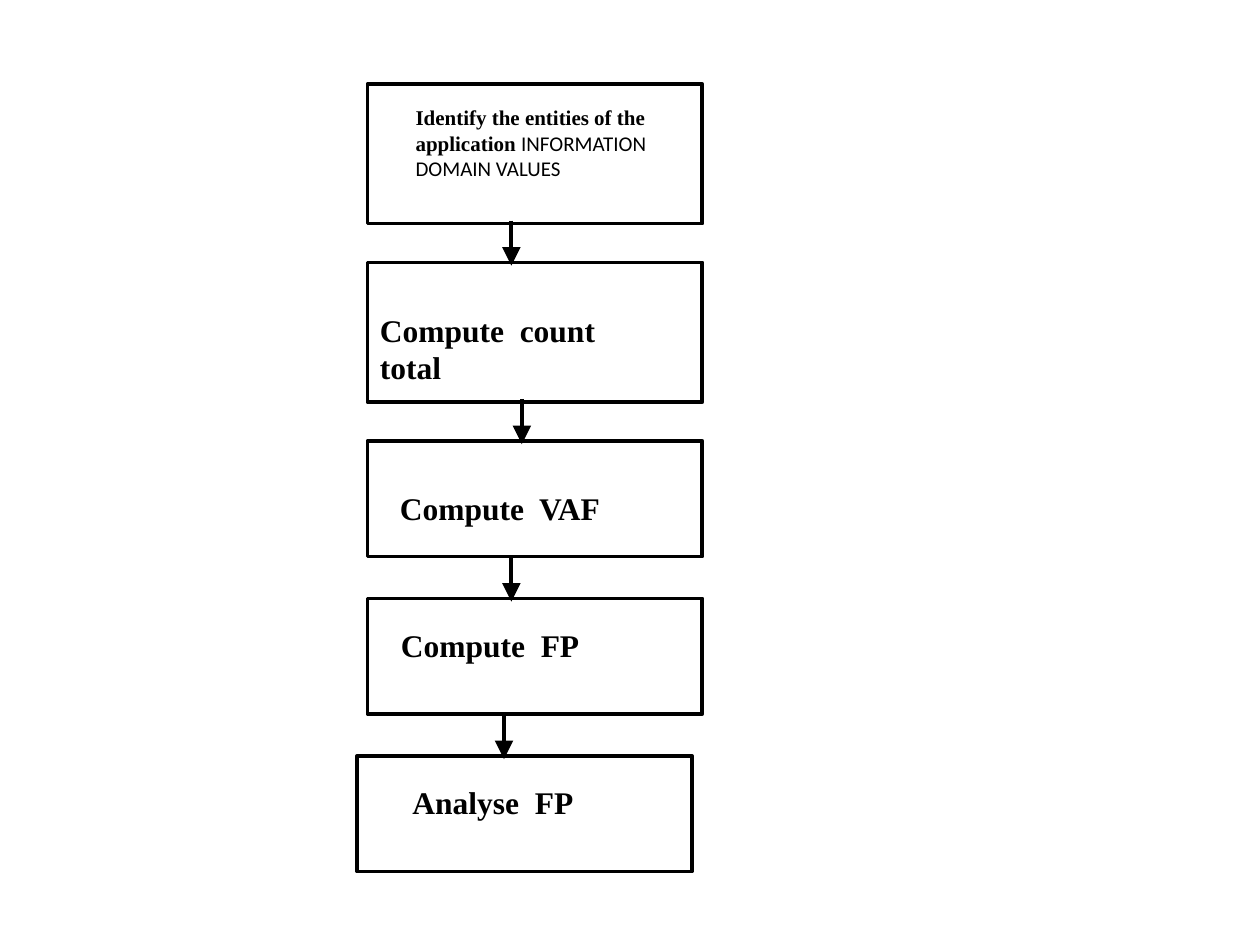
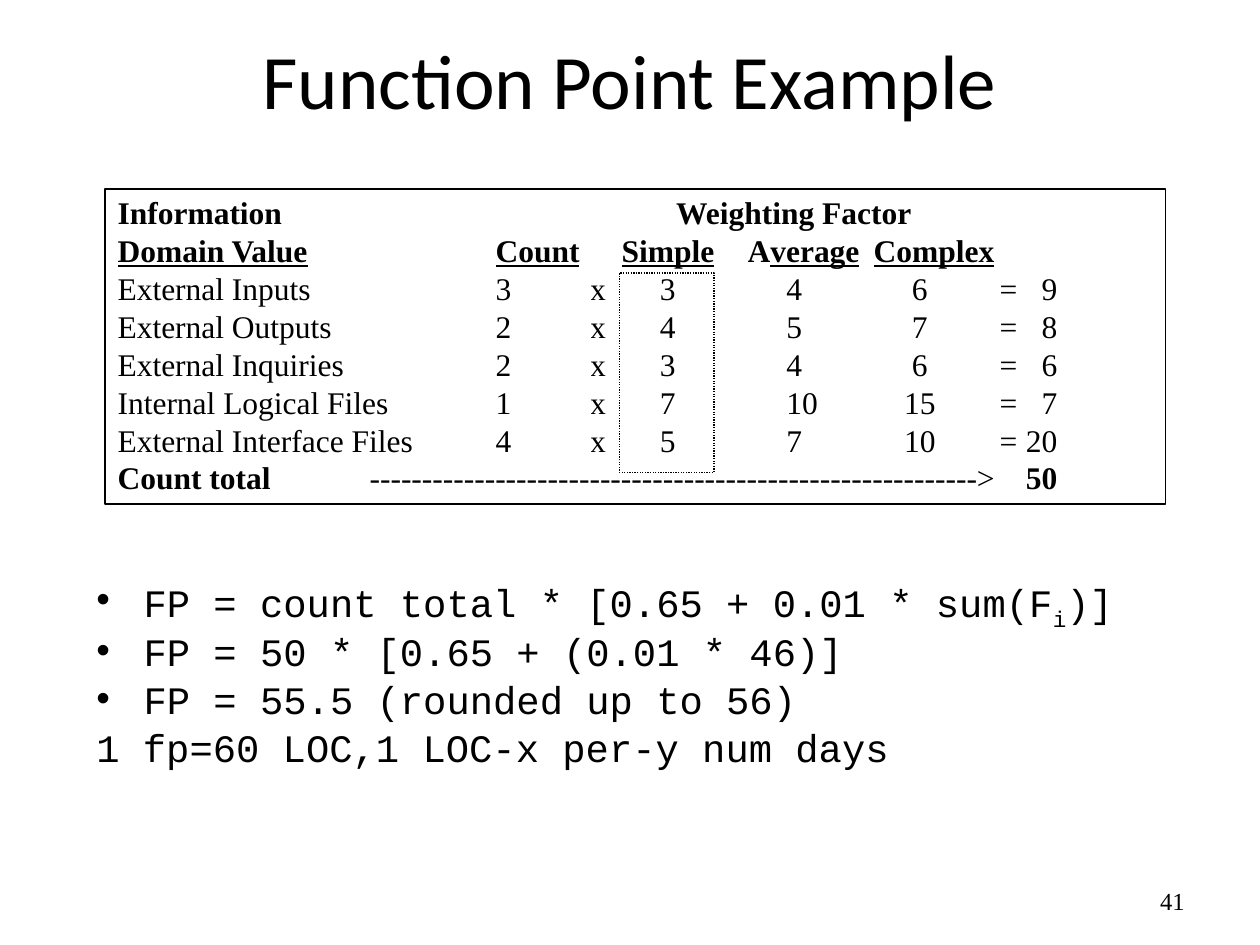
import dataclasses

import pptx
import pptx.dml.color
import pptx.enum.dml
import pptx.enum.shapes
import pptx.enum.text
import pptx.oxml
import pptx.oxml.ns
import pptx.util

EMU_PER_PX = 7620  # 120 px to the inch
ALIGN = pptx.enum.text.PP_ALIGN
ANCHOR = pptx.enum.text.MSO_ANCHOR
SHAPES = pptx.enum.shapes.MSO_SHAPE


def px(length):
    return pptx.util.Emu(length * EMU_PER_PX)


def add_xml(parent, tag, **attributes):
    element = pptx.oxml.parse_xml(f"<a:{tag} {pptx.oxml.ns.nsdecls('a')}/>")
    for name, value in attributes.items():
        element.set(name, str(value))
    parent.append(element)
    return element


@dataclasses.dataclass(frozen=True)
class Theme:
    ink: pptx.dml.color.RGBColor = pptx.dml.color.RGBColor(0, 0, 0)
    serif: str = "Times New Roman"
    sans: str = "Calibri"
    mono: str = "Courier New"
    title_size: float = 44
    formula_size: float = 22.2
    text_size: float = 18
    number_size: float = 14
    small_size: float = 12
    thick: float = 2.13
    thin: float = 0.75


@dataclasses.dataclass(frozen=True)
class Span:
    text: str
    font: str = Theme.serif
    size: float = Theme.text_size
    bold: bool = False
    underline: bool = False
    baseline: int = 0


class Painter:
    """Holds the theme and the slide being drawn."""

    def __init__(self, deck, theme):
        self.deck, self.theme, self.slide = deck, theme, None

    def new_slide(self, layout_index):
        layout = self.deck.slide_layouts[layout_index]
        self.slide = self.deck.slides.add_slide(layout)

    def add_spans(self, para, spans, align=ALIGN.LEFT):
        para.alignment = align
        for span in spans:
            run = para.add_run()
            run.text = span.text
            run.font.name = span.font
            run.font.size = pptx.util.Pt(span.size)
            run.font.bold = span.bold
            run.font.underline = span.underline
            run.font.color.rgb = self.theme.ink
            if span.baseline:
                run.font._element.set("baseline", str(span.baseline))

    def title(self, text, *place):
        title = self.slide.shapes.title
        title.left, title.top, title.width, title.height = map(px, place)
        title.text_frame.vertical_anchor = ANCHOR.MIDDLE
        span = Span(text, self.theme.sans, self.theme.title_size)
        self.add_spans(title.text_frame.paragraphs[0], [span], ALIGN.CENTER)

    def text(self, place, spans, align=ALIGN.LEFT, anchor=ANCHOR.TOP):
        box = self.slide.shapes.add_textbox(*map(px, place))
        box.text_frame.word_wrap = True
        box.text_frame.vertical_anchor = anchor
        self.add_spans(box.text_frame.paragraphs[0], spans, align)

    def frame(self, place, width, dash=None):
        box = self.slide.shapes.add_shape(SHAPES.RECTANGLE, *map(px, place))
        box.shadow.inherit = False
        box.fill.background()
        box.line.color.rgb = self.theme.ink
        box.line.width = pptx.util.Pt(width)
        if dash:
            box.line.dash_style = dash

    def down_arrow(self, x, top, length):
        arrow = self.slide.shapes.add_connector(
            pptx.enum.shapes.MSO_CONNECTOR.STRAIGHT,
            px(x), px(top), px(x), px(top + length))
        arrow.line.color.rgb = self.theme.ink
        arrow.line.width = pptx.util.Pt(self.theme.thick)
        add_xml(arrow.line._get_or_add_ln(), "tailEnd",
                type="triangle", w="lg", len="lg")
        add_xml(arrow._element.spPr, "effectLst")

    def bullets(self, place, lines, indent):
        box = self.slide.shapes.add_textbox(*map(px, place))
        frame = box.text_frame
        frame.word_wrap = True
        for index, (bulleted, spans) in enumerate(lines):
            para = frame.add_paragraph() if index else frame.paragraphs[0]
            para.line_spacing = 0.8
            para.space_before = pptx.util.Pt(6)
            self.add_spans(para, spans)
            properties = para._p.get_or_add_pPr()
            properties.set("marL", str(px(indent)))
            properties.set("indent", str(px(-indent)))
            if bulleted:
                add_xml(properties, "buFont", typeface="Arial")
                add_xml(properties, "buChar", char="•")

    def table(self, left, top, widths, row_height, row_count):
        holder = self.slide.shapes.add_table(
            row_count, len(widths), px(left), px(top),
            px(sum(widths)), px(row_height * row_count))
        table = holder.table
        table.first_row = table.horz_banding = False
        for column, width in zip(table.columns, widths):
            column.width = px(width)
        for row in table.rows:
            row.height = px(row_height)
            for cell in row.cells:
                cell.fill.background()
                cell.vertical_anchor = ANCHOR.MIDDLE
                cell.margin_left = cell.margin_right = 0
                cell.margin_top = cell.margin_bottom = 0
        return table

    def cell(self, cell, spans, align=ALIGN.LEFT, left=0, right=0):
        cell.margin_left, cell.margin_right = px(left), px(right)
        self.add_spans(cell.text_frame.paragraphs[0], spans, align)


def draw_steps(painter):
    theme = painter.theme
    painter.new_slide(6)

    # Step boxes: left, top, height
    for left, top, height in [(350, 80, 133), (350, 250, 133), (350, 420, 110),
                              (350, 570, 110), (340, 720, 110)]:
        painter.frame((left, top, 319, height), theme.thick)

    # Arrows between the steps
    for x, top in [(487, 210), (497, 380), (487, 530), (480, 680)]:
        painter.down_arrow(x, top, 43)

    # Step labels
    painter.text((384, 94, 244, 145), [
        Span("Identify the entities of the application ",
             size=theme.small_size, bold=True),
        Span("INFORMATION DOMAIN VALUES", theme.sans, theme.small_size)])
    for place, label in [((350, 290, 270, 84), "Compute  count total"),
                         ((369, 460, 219, 48), "Compute  VAF"),
                         ((370, 590, 230, 48), "Compute  FP"),
                         ((381, 740, 178, 48), "Analyse  FP")]:
        painter.text(place, [Span(label, bold=True)])


def draw_weights(painter):
    columns = [360, 90, 30, 120, 120, 120, 20, 35]
    factors = [("External Inputs", 3, "x", 3, 4, 6, "=", 9),
               ("External Outputs", 2, "x", 4, 5, 7, "=", 8),
               ("External Inquiries", 2, "x", 3, 4, 6, "=", 6),
               ("Internal Logical Files", 1, "x", 7, 10, 15, "=", 7),
               ("External Interface Files", 4, "x", 5, 7, 10, "=", 20)]
    # Alignment and insets of the number columns
    layouts = {3: dict(align=ALIGN.CENTER, right=32), 4: dict(left=37),
               5: dict(align=ALIGN.CENTER, right=32),
               7: dict(align=ALIGN.RIGHT)}
    table = painter.table(112, 185, columns, 36, len(factors) + 3)

    # Two header rows
    painter.cell(table.cell(0, 0), [Span("Information", bold=True)])
    table.cell(0, 3).merge(table.cell(0, 5))
    painter.cell(table.cell(0, 3), [Span("Weighting Factor", bold=True)], left=52)
    for column, heading in {0: "Domain Value", 1: "Count", 3: "Simple",
                            5: "Complex"}.items():
        painter.cell(table.cell(1, column),
                     [Span(heading, bold=True, underline=True)])
    painter.cell(table.cell(1, 4), [Span("A", bold=True),
                                    Span("verage", bold=True, underline=True)])

    # Weighted counts
    for row, values in enumerate(factors, start=2):
        for column, value in enumerate(values):
            painter.cell(table.cell(row, column), [Span(str(value))],
                         **layouts.get(column, {}))

    # Total row, with the dashed leader on a tab stop
    last = len(factors) + 2
    total = table.cell(last, 0)
    total.merge(table.cell(last, 6))
    painter.cell(total, [Span("Count total\t", bold=True), Span("-" * 58 + ">")])
    properties = total.text_frame.paragraphs[0]._p.get_or_add_pPr()
    add_xml(add_xml(properties, "tabLst"), "tab", pos=px(240), algn="l")
    painter.cell(table.cell(last, 7), [Span("50", bold=True)], ALIGN.RIGHT)


def draw_example(painter):
    theme = painter.theme
    painter.new_slide(5)
    painter.title("Function Point Example", 90, 0, 1020, 150)

    # Weighting table, its frame and the marked column
    draw_weights(painter)
    painter.frame((100, 180, 1010, 300), theme.thin)
    painter.frame((590, 260, 90, 190), theme.thin,
                  pptx.enum.dml.MSO_LINE.ROUND_DOT)

    # Formula lines
    def formula(text, baseline=0):
        return Span(text, theme.mono, theme.formula_size, baseline=baseline)

    painter.bullets((80, 550, 1070, 220), [
        (True, [formula("FP = count total * [0.65 + 0.01 * sum(F"),
                formula("i", -25000), formula(")]")]),
        (True, [formula("FP = 50 * [0.65 + (0.01 * 46)]")]),
        (True, [formula("FP = 55.5 (rounded up to 56)")]),
        (False, [formula("1 fp=60 LOC,1 LOC-x per-y num days")])], 45)

    # Page number
    painter.text((860, 834, 280, 48), [Span("41", size=theme.number_size)],
                 ALIGN.RIGHT, ANCHOR.MIDDLE)


def main():
    deck = pptx.Presentation()
    deck.slide_width, deck.slide_height = px(1200), px(900)
    painter = Painter(deck, Theme())
    draw_steps(painter)
    draw_example(painter)
    deck.save("out.pptx")


if __name__ == "__main__":
    main()
